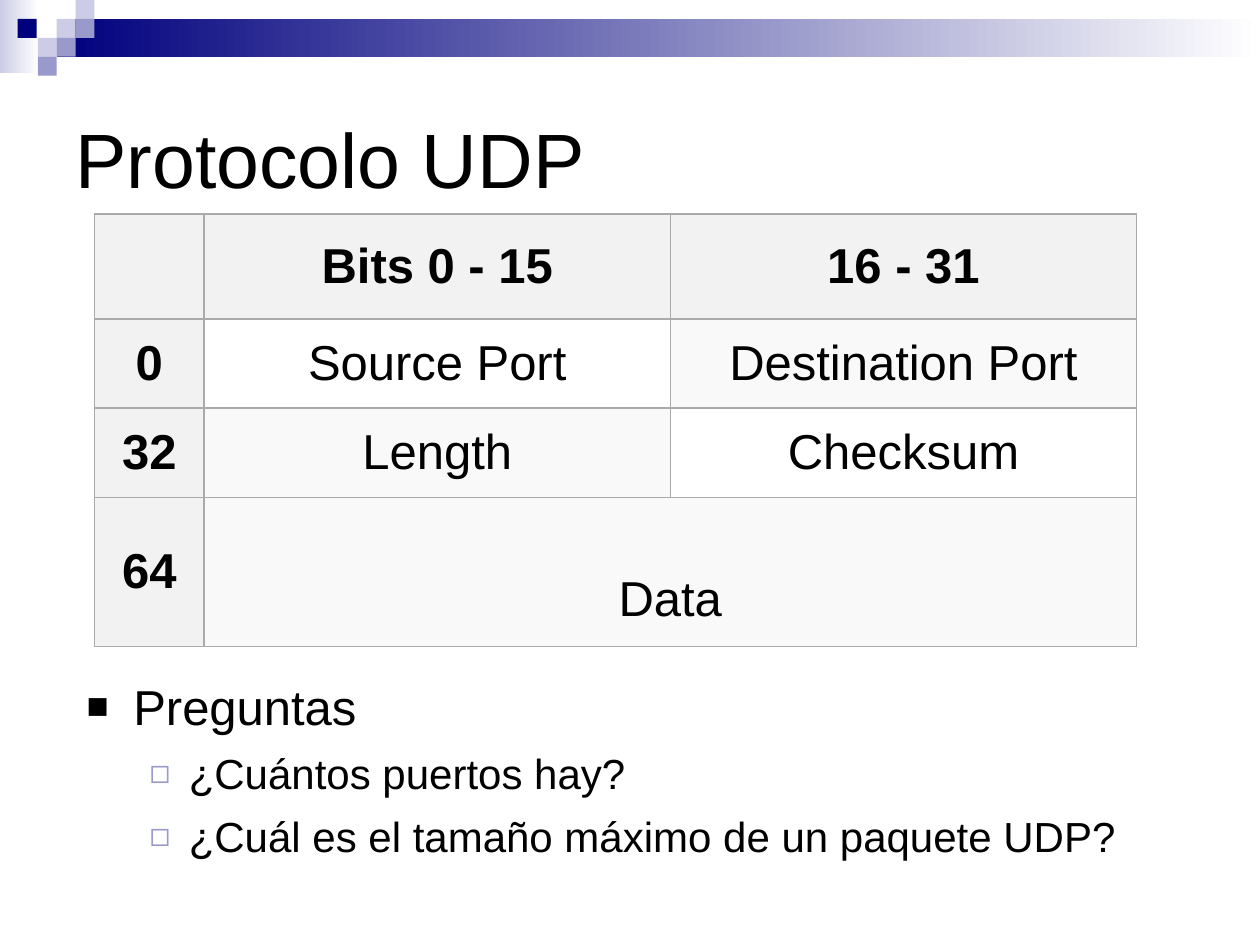
from lxml.etree import SubElement
from pptx import Presentation
from pptx.dml.color import RGBColor
from pptx.enum.shapes import MSO_SHAPE as SHAPE
from pptx.enum.text import MSO_ANCHOR as ANCHOR, PP_ALIGN as ALIGN
from pptx.oxml import parse_xml
from pptx.oxml.ns import nsdecls, qn
from pptx.util import Inches, Pt

FONT = "Arial"
BLACK = RGBColor(0x00, 0x00, 0x00)
WHITE = RGBColor(0xFF, 0xFF, 0xFF)
NAVY = RGBColor(0x00, 0x00, 0x7D)
LILAC = RGBColor(0x99, 0x99, 0xCC)
PALE = RGBColor(0xCC, 0xCC, 0xE6)
HEAD = RGBColor(0xF2, 0xF2, 0xF2)
STRIPE = RGBColor(0xF9, 0xF9, 0xF9)
BORDER = RGBColor(0xAA, 0xAA, 0xAA)

# Content
TITLE = "Protocolo UDP"
ROWS = [
    ["", "Bits 0 - 15", "16 - 31"],
    ["0", "Source Port", "Destination Port"],
    ["32", "Length", "Checksum"],
    ["64", "Data", ""],
]
COL_WIDTHS = [0.87, 3.7, 3.7]
ROW_HEIGHTS = [0.83, 0.71, 0.71, 1.18]
QUESTIONS = [
    (0, "Preguntas"),
    (1, "¿Cuántos puertos hay?"),
    (1, "¿Cuál es el tamaño máximo de un paquete UDP?"),
]
# Per level: text size, space before, left margin, hanging, bullet, colour, percent
LEVELS = [
    (28, 8, 0.37, 0.37, "■", BLACK, 75),
    (24, 7, 0.81, 0.31, "◻", LILAC, 80),
]
# Header bands: left, top, width, height, left colour (each fades to white)
BANDS = [(0, 0, 0.31, 0.58, PALE), (0.45, 0.15, 9.55, 0.3, NAVY)]
SQUARE = 0.15
SQUARES = [
    (0.45, 0.15, PALE), (0.6, 0, PALE), (0.6, 0.15, LILAC), (0.3, 0.3, PALE),
    (0.14, 0.15, NAVY), (0.45, 0.3, LILAC), (0.3, 0.45, LILAC),
]


def add_rect(s, x, y, w, h):
    sp = s.shapes.add_shape(SHAPE.RECTANGLE, Inches(x), Inches(y), Inches(w), Inches(h))
    sp.shadow.inherit = False
    sp.line.fill.background()
    return sp


def style_font(p, size, bold=False):
    for r in p.runs:
        r.font.name, r.font.size, r.font.bold = FONT, Pt(size), bold
        r.font.color.rgb = BLACK


def add_borders(cell):
    tc_pr = cell._tc.get_or_add_tcPr()
    for i, side in enumerate("LRTB"):
        tc_pr.insert(i, parse_xml(
            f'<a:ln{side} {nsdecls("a")} w="12700"><a:solidFill>'
            f'<a:srgbClr val="{BORDER}"/></a:solidFill></a:ln{side}>'))


def add_bullet(p, margin, hanging, char, color, percent):
    p_pr = p._p.get_or_add_pPr()
    p_pr.set("marL", str(Inches(margin)))
    p_pr.set("indent", str(-Inches(hanging)))
    SubElement(SubElement(p_pr, qn("a:buClr")), qn("a:srgbClr"), val=str(color))
    SubElement(p_pr, qn("a:buSzPct"), val=str(percent * 1000))
    SubElement(p_pr, qn("a:buFont"), typeface=FONT)
    SubElement(p_pr, qn("a:buChar"), char=char)


prs = Presentation()
prs.slide_width, prs.slide_height = Inches(10), Inches(7.5)
s = prs.slides.add_slide(prs.slide_layouts[5])

# Header decoration
for *box, color in BANDS:
    fill = add_rect(s, *box).fill
    fill.gradient()
    fill.gradient_angle = 0
    for stop, rgb in zip(fill.gradient_stops, (color, WHITE)):
        stop.color.rgb = rgb
for x, y, color in SQUARES:
    fill = add_rect(s, x, y, SQUARE, SQUARE).fill
    fill.solid()
    fill.fore_color.rgb = color

# Title
title = s.shapes.title
title.left, title.top, title.width, title.height = map(Inches, (0.5, 0.47, 9, 1.57))
tf = title.text_frame
tf.text = TITLE
tf.vertical_anchor = ANCHOR.MIDDLE
tf.paragraphs[0].alignment = ALIGN.LEFT
style_font(tf.paragraphs[0], 44)

# Datagram table
table = s.shapes.add_table(
    len(ROWS), len(COL_WIDTHS), Inches(0.75), Inches(1.7),
    Inches(sum(COL_WIDTHS)), Inches(sum(ROW_HEIGHTS))).table
table.first_row = table.horz_banding = False
for col, width in zip(table.columns, COL_WIDTHS):
    col.width = Inches(width)
for row, height in zip(table.rows, ROW_HEIGHTS):
    row.height = Inches(height)
for i, texts in enumerate(ROWS):
    for j, text in enumerate(texts):
        cell = table.cell(i, j)
        header = i == 0 or j == 0
        cell.text = text
        cell.vertical_anchor = ANCHOR.MIDDLE
        cell.fill.solid()
        cell.fill.fore_color.rgb = HEAD if header else WHITE if i == j == 1 or i == j == 2 else STRIPE
        p = cell.text_frame.paragraphs[0]
        p.alignment = ALIGN.CENTER
        style_font(p, 28, header)
        add_borders(cell)
data = table.cell(3, 1)
data.merge(table.cell(3, 2))
data.margin_top = Inches(0.48)  # the label sits low in its cell

# Questions
tf = s.shapes.add_textbox(Inches(0.59), Inches(5.32), Inches(9.14), Inches(1.97)).text_frame
tf.word_wrap = True
for i, (level, text) in enumerate(QUESTIONS):
    p = tf.add_paragraph() if i else tf.paragraphs[0]
    size, before, *bullet = LEVELS[level]
    p.text = text
    p.level = level
    p.space_before = Pt(before)
    style_font(p, size)
    add_bullet(p, *bullet)

prs.save("out.pptx")
